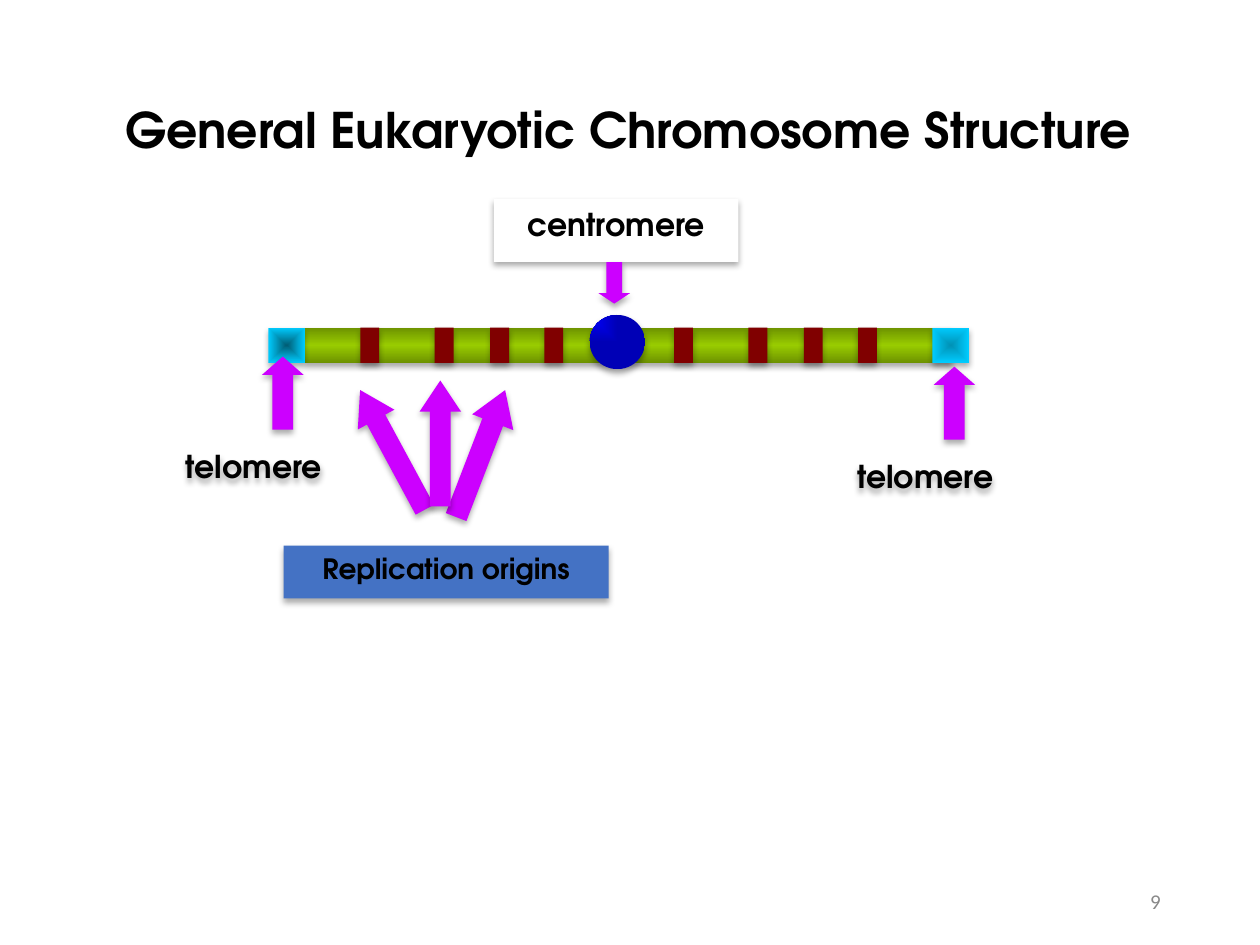
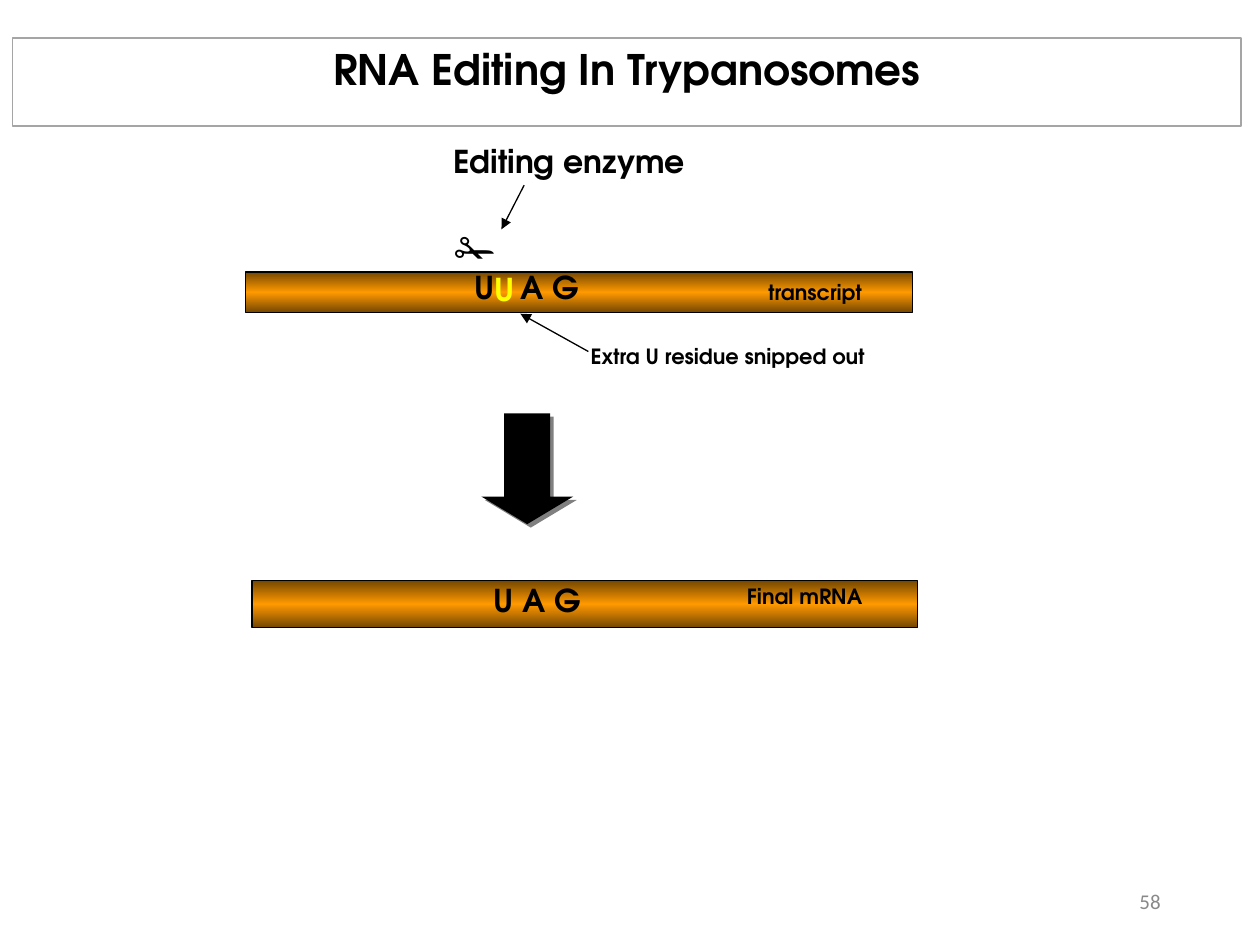
from itertools import product

from pptx import Presentation
from pptx.dml.color import RGBColor
from pptx.enum.shapes import MSO_CONNECTOR, MSO_SHAPE
from pptx.enum.text import MSO_ANCHOR, PP_ALIGN
from pptx.oxml import parse_xml
from pptx.oxml.ns import nsdecls
from pptx.util import Inches, Pt

HUES = {
    "ink": "000000", "paper": "FFFFFF", "gray": "898989", "rule": "A5A5A5",
    "pink": "CC00FF", "maroon": "800000", "blue": "4472C4", "yellow": "FFFF00",
    "olive": "6D9200", "lime": "99CC00", "brown": "764700", "orange": "FF9900",
    "bright": "0000FF", "navy": "0000B6", "teal": "0092B6", "deep": "005E76",
    "cyan": "00CCFF", "shade": "808080",
}
SOFT = ("ink", 32, 3.5, 2.2, 90)
HARD = ("shade", 100, 0, 2.8, 45)
LINEAR = '<a:lin ang="5400000" scaled="0"/>'
CORNER = '<a:path path="rect"><a:fillToRect r="100000" b="100000"/></a:path>'
CENTER = ('<a:path path="shape"><a:fillToRect l="50000" t="50000" '
          'r="50000" b="50000"/></a:path>')


class Deck:
    """Hold the shared style and the current slide, and draw on it."""

    def __init__(self):
        self.show = Presentation()
        self.show.slide_width, self.show.slide_height = Inches(10), Inches(7.5)
        self.face = {"name": "TeX Gyre Adventor", "bold": True}

    def start(self, number):
        self.slide = self.show.slides.add_slide(self.show.slide_layouts[6])
        self.label(number, 7.06, 6.95, 2.25, 0.4, 12, "gray", PP_ALIGN.RIGHT,
                   MSO_ANCHOR.MIDDLE, name="Calibri", bold=False)

    def hue(self, key):
        return RGBColor.from_string(HUES[key])

    def letter(self, shape, text, size, color="ink", align=PP_ALIGN.LEFT,
               anchor=MSO_ANCHOR.TOP, **extra):
        frame = shape.text_frame
        frame.word_wrap, frame.vertical_anchor = True, anchor
        line = frame.paragraphs[0]
        line.alignment = align
        run = line.add_run()
        run.text = text
        for key, value in {**self.face, "size": Pt(size), **extra}.items():
            setattr(run.font, key, value)
        run.font.color.rgb = self.hue(color)
        return line

    def label(self, text, x, y, w, h, size, *style, shadow=None, **extra):
        box = self.slide.shapes.add_textbox(*map(Inches, (x, y, w, h)))
        if shadow:
            self.shade(box, *shadow)
        return self.letter(box, text, size, *style, **extra)

    def shade(self, shape, color, alpha, blur, dist, angle):
        shape.shadow.inherit = False
        shape._element.spPr.find("{*}effectLst").append(parse_xml(
            f'<a:outerShdw {nsdecls("a")} blurRad="{Pt(blur)}" dist="{Pt(dist)}" '
            f'dir="{angle * 60000}" algn="ctr" rotWithShape="0">'
            f'<a:srgbClr val="{HUES[color]}"><a:alpha val="{alpha * 1000}"/>'
            '</a:srgbClr></a:outerShdw>'))

    def blend(self, shape, hues, course):
        shape.fill.background()
        step = 100000 // (len(hues) - 1)
        stops = "".join(f'<a:gs pos="{i * step}"><a:srgbClr val="{HUES[key]}"/></a:gs>'
                        for i, key in enumerate(hues))
        props = shape._element.spPr
        props.replace(props.find("{*}noFill"), parse_xml(
            f'<a:gradFill {nsdecls("a")} rotWithShape="1"><a:gsLst>{stops}'
            f'</a:gsLst>{course}</a:gradFill>'))

    def shape(self, kind, x, y, w, h, fill, course=LINEAR, line=None, width=1,
              shadow=SOFT, turn=0, head=None):
        item = self.slide.shapes.add_shape(kind, *map(Inches, (x, y, w, h)))
        item.rotation = turn
        if head is not None:
            item.adjustments[1] = head
        if isinstance(fill, tuple):
            self.blend(item, fill, course)
        else:
            item.fill.solid()
            item.fill.fore_color.rgb = self.hue(fill)
        if line:
            item.line.color.rgb = self.hue(line)
            item.line.width = Pt(width)
        else:
            item.line.fill.background()
        item.shadow.inherit = False
        if shadow:
            self.shade(item, *shadow)
        return item

    def block(self, *args, **style):
        return self.shape(MSO_SHAPE.RECTANGLE, *args, **style)

    def title(self, text, x, y, w, h, size, line):
        box = self.block(x, y, w, h, "paper", line=line, shadow=None)
        self.letter(box, text, size, align=PP_ALIGN.CENTER)

    def sign(self, text, x, y, w, h, size, fill):
        self.letter(self.block(x, y, w, h, fill), text, size, align=PP_ALIGN.CENTER)

    def rise(self, x, y, w, h, head, turn=0):
        self.shape(MSO_SHAPE.UP_ARROW, x, y, w, h, "pink", head=head, turn=turn)

    def arrow(self, *ends):
        line = self.slide.shapes.add_connector(MSO_CONNECTOR.STRAIGHT,
                                               *map(Inches, ends))
        line.line.color.rgb = self.hue("ink")
        line.line.width = Pt(0.75)
        props = line._element.spPr
        props.find("{*}ln").append(
            parse_xml(f'<a:tailEnd {nsdecls("a")} type="triangle"/>'))
        props.append(parse_xml(f'<a:effectLst {nsdecls("a")}/>'))


def draw_gene(deck):
    """Draw the chromosome with its parts named."""
    deck.start("9")
    deck.title("General Eukaryotic Chromosome Structure", 0.15, 0.74, 9.67, 0.82,
               28, "paper")
    top, tall = 2.6, 0.28
    deck.block(2.42, top, 5.13, tall, ("olive", "lime", "olive"))
    deck.shape(MSO_SHAPE.OVAL, 4.68, 2.5, 0.44, 0.43, ("bright", "navy"), CORNER)
    for x, core in ((7.4, "teal"), (2.13, "deep")):
        deck.block(x, top, 0.29, tall, (core, "cyan"), CENTER)
    for arm, gap in product((2.86, 5.35), (0, 0.59, 1.03, 1.46)):
        deck.block(arm + gap, top, 0.15, tall, "maroon")
    deck.sign("centromere", 3.92, 1.58, 1.94, 0.5, 18, "paper")
    deck.sign("Replication origins", 2.25, 4.33, 2.58, 0.42, 16, "blue")
    deck.shape(MSO_SHAPE.DOWN_ARROW, 4.75, 2.08, 0.25, 0.33, "pink", head=0.33)
    deck.rise(3.64, 3.06, 0.35, 1.08, 0.78, 21.1)
    deck.rise(2.95, 3.03, 0.33, 1.08, 0.81, 331.6)
    deck.rise(3.33, 3.02, 0.33, 1, 0.75)
    for x, y in ((1.25, 3.5), (6.58, 3.58)):
        deck.label("telomere", x, y, 1.53, 0.39, 18, "ink", PP_ALIGN.CENTER,
                   shadow=SOFT)
        deck.rise(x + 0.83, y - 0.67, 0.33, 0.58, 0.44)


def draw_edit(deck):
    """Draw the transcript before and after the edit."""
    deck.start("58")
    for x, y, w, h in ((1.95, 2.16, 5.29, 0.32), (2, 4.61, 5.28, 0.37)):
        deck.block(x, y, w, h, ("brown", "orange", "brown"), line="ink",
                   width=0.75, shadow=None)
    codon = deck.label("U\tA G", 3.67, 2.08, 1.64, 0.57, 18)
    codon._p.get_or_add_pPr().append(parse_xml(
        f'<a:tabLst {nsdecls("a")}><a:tab pos="{Inches(0.36)}" algn="l"/></a:tabLst>'))
    deck.shape(MSO_SHAPE.DOWN_ARROW, 3.82, 3.28, 0.73, 0.88, "ink", shadow=HARD,
               head=0.3)
    for row in (
        ("U A G", 3.82, 4.56, 1.64, 0.57, 18),
        ("Extra U residue snipped out", 4.59, 2.68, 2.83, 0.35, 12),
        ("transcript", 6, 2.17, 1.17, 0.38, 12),
        ("Final mRNA", 5.83, 4.58, 1.84, 0.42, 12),
        ("Editing enzyme", 3.5, 1.08, 2.18, 0.53, 18),
        ("✁", 3.51, 1.69, 0.58, 0.57, 28),
        ("U", 3.83, 2.09, 0.33, 0.4, 18, "yellow"),
    ):
        deck.label(*row)
    deck.arrow(4.67, 2.79, 4.13, 2.49)
    deck.arrow(4.16, 1.47, 3.98, 1.82)
    deck.title("RNA Editing In Trypanosomes", 0.1, 0.3, 9.75, 0.7, 24, "rule")


def main():
    """Build both slides and save them."""
    deck = Deck()
    draw_gene(deck)
    draw_edit(deck)
    deck.show.save("out.pptx")


if __name__ == "__main__":
    main()
